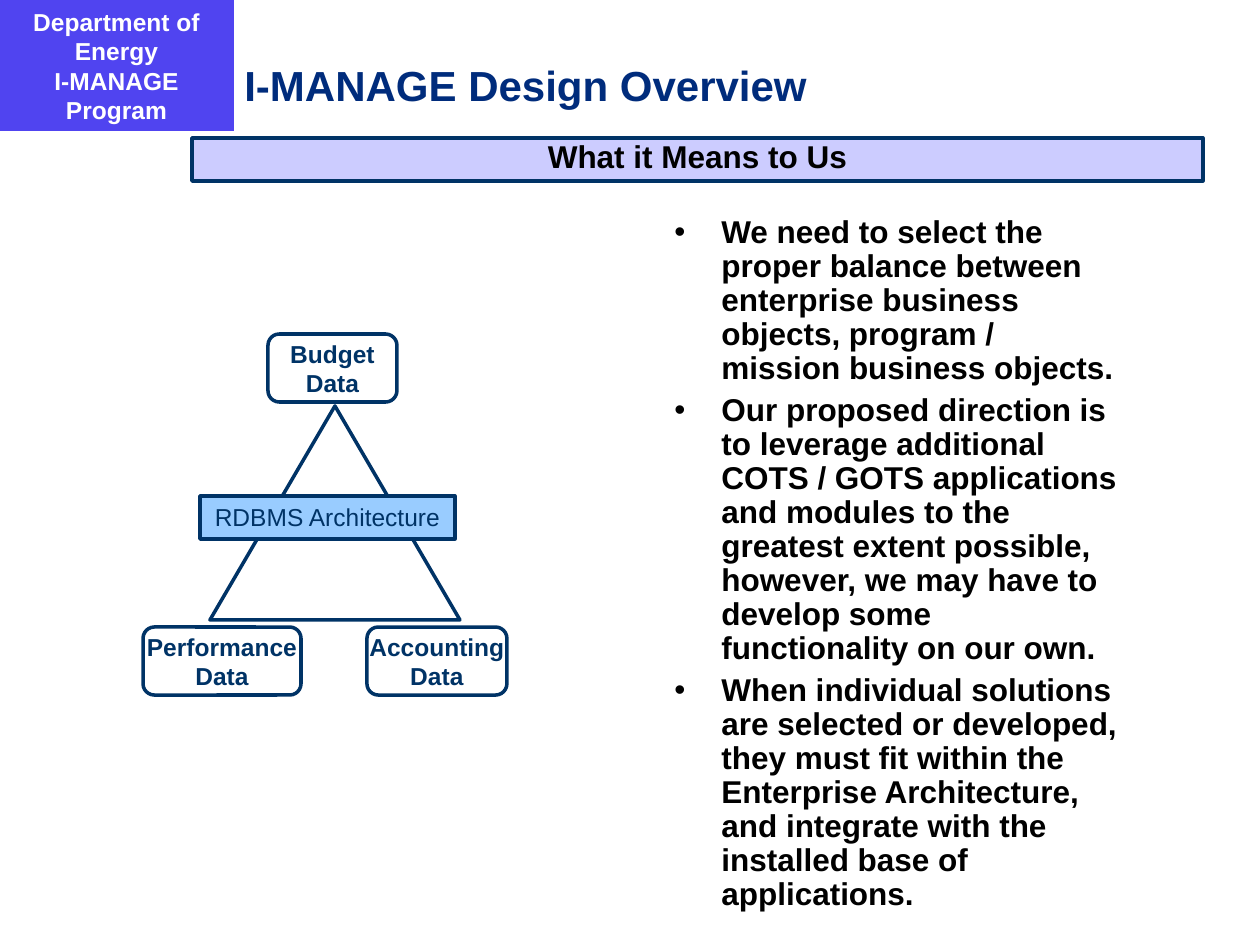
"""Builds the I-MANAGE Design Overview slide."""
from lxml import etree
from pptx import Presentation
from pptx.dml.color import RGBColor
from pptx.enum.shapes import MSO_SHAPE
from pptx.enum.text import MSO_ANCHOR, PP_ALIGN
from pptx.oxml.ns import qn
from pptx.util import Emu, Pt

RECTANGLE = MSO_SHAPE.RECTANGLE
TRIANGLE = MSO_SHAPE.ISOSCELES_TRIANGLE
ROUNDED = MSO_SHAPE.FLOWCHART_ALTERNATE_PROCESS
TOP, MIDDLE = MSO_ANCHOR.TOP, MSO_ANCHOR.MIDDLE
LEFT, CENTER = PP_ALIGN.LEFT, PP_ALIGN.CENTER

EMU_PER_PX = 914400 / 126
NAVY, BLACK, WHITE = "003366", "000000", "FFFFFF"


def px(length):
    return Emu(round(length * EMU_PER_PX))


def color(value):
    return RGBColor.from_string(value)


class SlideBuilder:
    """Holds the style and the current slide."""

    font_name = "Arial"
    line_width = Pt(2)

    def __init__(self, slide):
        self.slide = slide

    def label(self, shape, text, size, text_color, bold=True, align=CENTER,
              anchor=TOP, wrap=True):
        frame = shape.text_frame
        frame.text = text
        frame.word_wrap = wrap
        frame.vertical_anchor = anchor
        for paragraph in frame.paragraphs:
            paragraph.alignment = align
            for run in paragraph.runs:
                run.font.name = self.font_name
                run.font.size = Pt(size)
                run.font.bold = bold
                run.font.color.rgb = color(text_color)
        return frame.paragraphs

    def shape(self, kind, box, fill=None, line=None):
        shape = self.slide.shapes.add_shape(kind, *map(px, box))
        shape.shadow.inherit = False
        if fill:
            shape.fill.solid()
            shape.fill.fore_color.rgb = color(fill)
        else:
            shape.fill.background()
        if line:
            shape.line.color.rgb = color(line)
            shape.line.width = self.line_width
        else:
            shape.line.fill.background()
        return shape

    def text(self, box, text, size, text_color):
        shape = self.slide.shapes.add_textbox(*map(px, box))
        return self.label(shape, text, size, text_color, align=LEFT)

    def data_box(self, box, text):
        shape = self.shape(ROUNDED, box, line=NAVY)
        self.label(shape, text, 14, NAVY, anchor=MIDDLE, wrap=False)

    def bullets(self, box, items, size, text_color):
        for index, paragraph in enumerate(self.text(box, "\n".join(items), size, text_color)):
            properties = paragraph._p.get_or_add_pPr()
            properties.set("marL", str(px(59)))
            properties.set("indent", str(px(-47)))
            bullet_color = etree.SubElement(properties, qn("a:buClr"))
            etree.SubElement(bullet_color, qn("a:srgbClr"), val=text_color)
            etree.SubElement(properties, qn("a:buFont"), typeface=self.font_name)
            etree.SubElement(properties, qn("a:buChar"), char="•")
            paragraph.line_spacing = 0.9
            paragraph.space_before = Pt(4.5 if index else 0)


def main():
    presentation = Presentation()
    presentation.slide_width, presentation.slide_height = px(1260), px(945)
    builder = SlideBuilder(presentation.slides.add_slide(presentation.slide_layouts[6]))

    program = builder.shape(RECTANGLE, (-1, 0, 235, 131), fill="5044F0")
    builder.label(program, "Department of Energy\nI-MANAGE Program", 14, WHITE, anchor=MIDDLE)

    banner = builder.shape(RECTANGLE, (192, 138, 1011, 43), "CCCCFF", NAVY)
    builder.label(banner, "What it Means to Us", 18, BLACK)[0].line_spacing = 0.8

    builder.shape(TRIANGLE, (210, 406, 250, 214), line=NAVY)
    builder.data_box((268, 334, 129, 68), "Budget\nData")
    builder.data_box((143, 627, 158, 68), "Performance\nData")
    builder.data_box((367, 627, 140, 68), "Accounting\nData")
    architecture = builder.shape(RECTANGLE, (200, 496, 255, 43), "99CCFF", NAVY)
    builder.label(architecture, "RDBMS Architecture", 14, NAVY, bold=False)

    builder.text((232, 53, 997, 63), "I-MANAGE Design Overview", 24, "002C7C")
    builder.bullets((650, 210, 483, 640), [
        "We need to select the proper balance between enterprise business objects, "
        "program / mission business objects.",
        "Our proposed direction is to leverage additional COTS / GOTS applications "
        "and modules to the greatest extent possible, however, we may have to "
        "develop some functionality on our own.",
        "When individual solutions are selected or developed, they must fit within "
        "the Enterprise Architecture, and integrate with the installed base of "
        "applications.",
    ], 18, BLACK)

    presentation.save("out.pptx")


if __name__ == "__main__":
    main()
